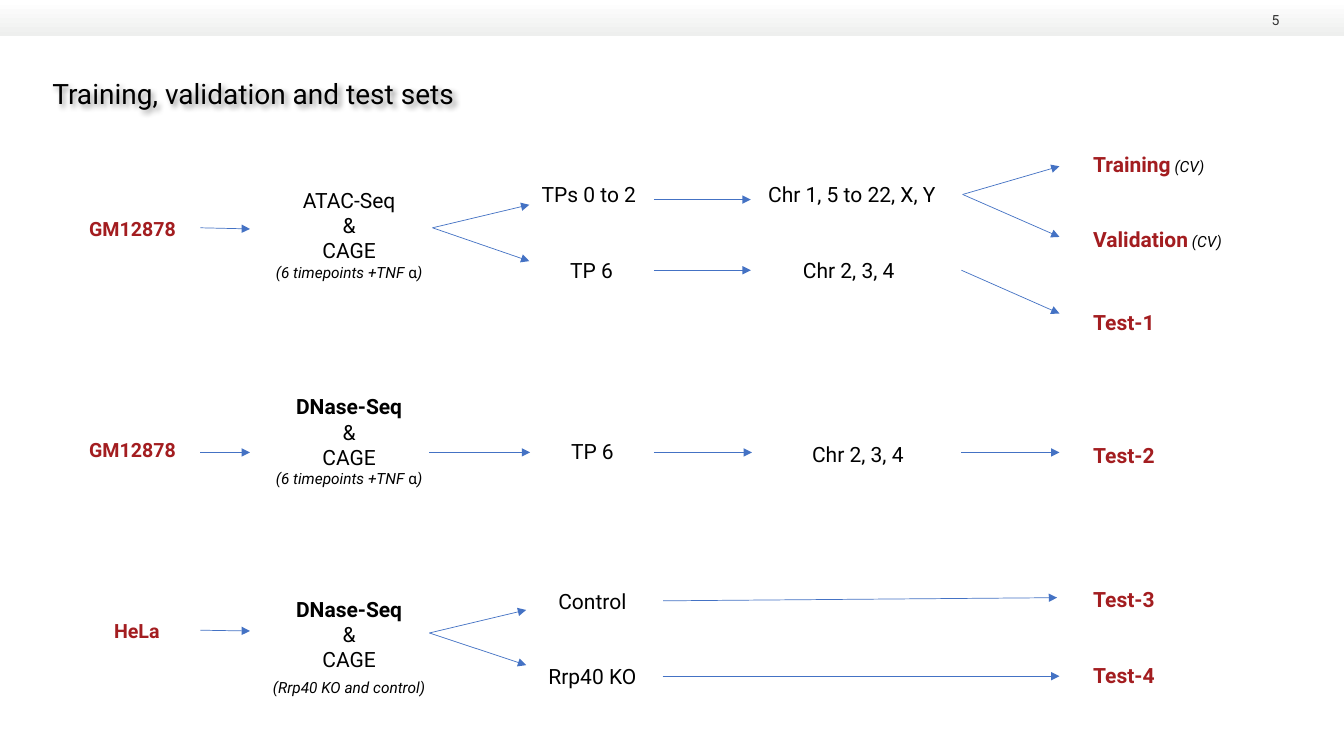
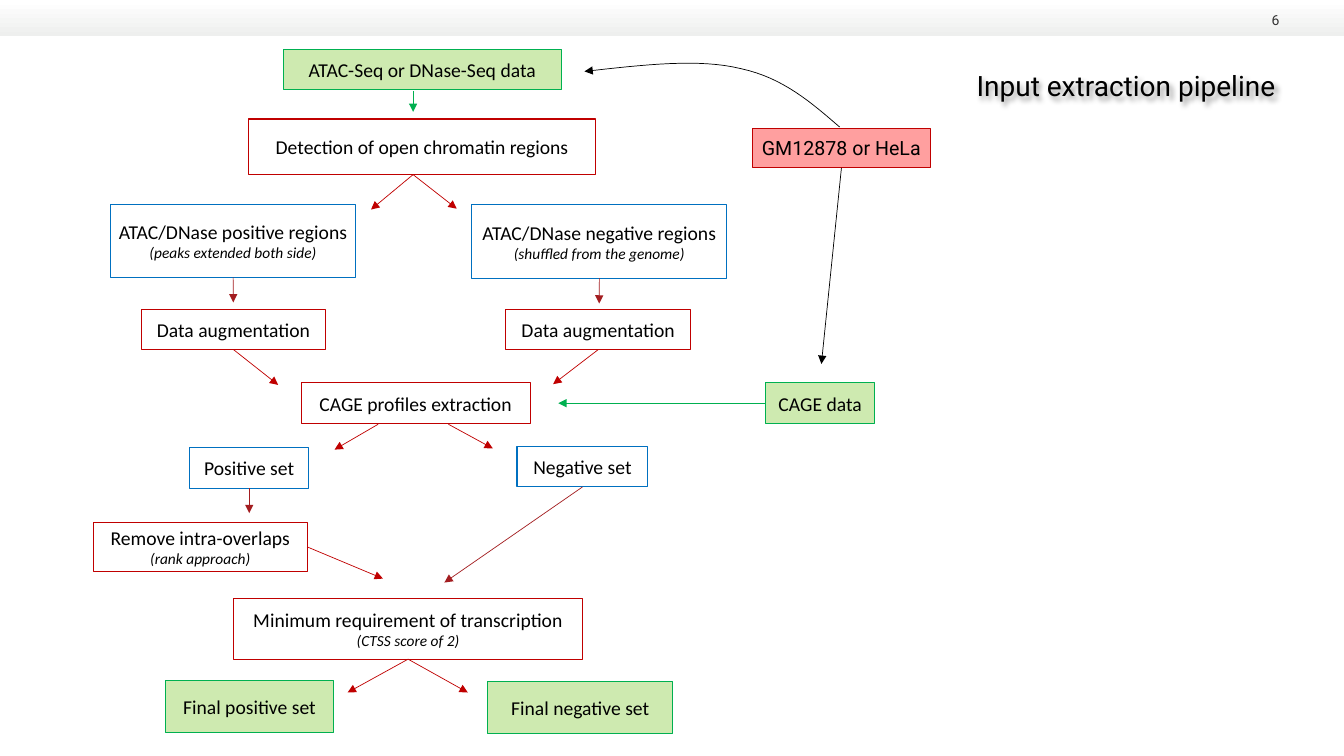
import dataclasses

import lxml.etree
import pptx
import pptx.dml.color
import pptx.enum.shapes
import pptx.enum.text
import pptx.oxml.ns
import pptx.util

Cm = pptx.util.Cm
Align = pptx.enum.text.PP_ALIGN
Anchor = pptx.enum.text.MSO_ANCHOR
RECTANGLE = pptx.enum.shapes.MSO_SHAPE.RECTANGLE
STRAIGHT = pptx.enum.shapes.MSO_CONNECTOR.STRAIGHT
TOP, LEFT, BOTTOM, RIGHT = range(4)


@dataclasses.dataclass(frozen=True)
class Style:
    size: float
    font: str = "Roboto"
    color: str = "000000"
    bold: bool = False
    italic: bool = False


@dataclasses.dataclass(frozen=True)
class Theme:
    width: float = 33.87
    height: float = 19.05
    band_top: str = "FFFFFF"
    band_bottom: str = "EEEFEE"
    black: str = "000000"
    blue_arrow: str = "4472C4"
    blue: str = "0070C0"
    red: str = "C00000"
    dark_red: str = "A31D20"
    green: str = "00B050"
    light_green: str = "CEEAB0"
    pink: str = "FF9F9F"
    box_line: float = 0.75
    arrow_line: float = 0.5
    title: Style = Style(20)
    number: Style = Style(10, color="333333")
    plain: Style = Style(15)
    strong: Style = Style(15, bold=True)
    result: Style = Style(15, color="A31D20", bold=True)
    cell: Style = Style(14, color="A31D20", bold=True)
    cell_box: Style = Style(14)
    note: Style = Style(11, italic=True)
    symbol: Style = Style(11)
    step: Style = Style(14, "Calibri")
    step_note: Style = Style(11, "Calibri", italic=True)


THEME = Theme()


def rgb(color):
    return pptx.dml.color.RGBColor.from_string(color)


def add_xml(parent, tag, **attributes):
    child = lxml.etree.SubElement(parent, pptx.oxml.ns.qn(tag))
    for name, value in attributes.items():
        child.set(name, value)
    return child


def write(box, lines, align=Align.CENTER, anchor=Anchor.MIDDLE, inset=0, gap=0):
    frame = box.text_frame
    frame.word_wrap = True
    frame.vertical_anchor = anchor
    frame.margin_left = frame.margin_right = Cm(inset)
    frame.margin_top = frame.margin_bottom = Cm(inset / 2)
    for index, line in enumerate(lines):
        para = frame.paragraphs[0] if index == 0 else frame.add_paragraph()
        para.alignment = align
        if gap and index == len(lines) - 1:
            para.space_before = pptx.util.Pt(gap)
        for text, style in line:
            span = para.add_run()
            span.text = text
            span.font.size = pptx.util.Pt(style.size)
            span.font.name = style.font
            span.font.bold = style.bold
            span.font.italic = style.italic
            span.font.color.rgb = rgb(style.color)


def add_text(page, left, top, width, height, lines, **layout):
    box = page.shapes.add_textbox(Cm(left), Cm(top), Cm(width), Cm(height))
    write(box, lines, **layout)
    return box


def add_label(page, x, y, lines, width=5, height=0.9, **layout):
    return add_text(page, x - width / 2, y - height / 2, width, height, lines, **layout)


def add_box(page, place, lines, line, fill=None):
    box = page.shapes.add_shape(RECTANGLE, *map(Cm, place))
    box.shadow.inherit = False
    if fill:
        box.fill.solid()
        box.fill.fore_color.rgb = rgb(fill)
    else:
        box.fill.background()
    box.line.color.rgb = rgb(line)
    box.line.width = pptx.util.Pt(THEME.box_line)
    write(box, lines)
    return box


def style_arrow(shape, color):
    shape.line.color.rgb = rgb(color)
    shape.line.width = pptx.util.Pt(THEME.arrow_line)
    add_xml(shape.line._get_or_add_ln(), "a:tailEnd", type="triangle")


def add_arrow(page, start, end, color):
    joined = not isinstance(start[0], (int, float))
    origin = end if joined else start
    arrow = page.shapes.add_connector(STRAIGHT, *map(Cm, origin + end))
    if joined:
        arrow.begin_connect(*start)
    style_arrow(arrow, color)
    add_xml(arrow._element.spPr, "a:effectLst")


def bezier(p0, p1, p2, p3, steps=16):
    for step in range(1, steps + 1):
        t = step / steps
        weights = ((1 - t) ** 3, 3 * t * (1 - t) ** 2, 3 * t * t * (1 - t), t ** 3)
        yield tuple(
            sum(weight * point[axis] for weight, point in zip(weights, (p0, p1, p2, p3)))
            for axis in (0, 1)
        )


def add_curved_arrow(page, points, color):
    route = [points[0]]
    for first in range(0, len(points) - 1, 3):
        route += bezier(*points[first:first + 4])
    route = [(Cm(x), Cm(y)) for x, y in route]
    builder = page.shapes.build_freeform(*route[0])
    builder.add_line_segments(route[1:], close=False)
    curve = builder.convert_to_shape()
    curve.shadow.inherit = False
    curve.fill.background()
    style_arrow(curve, color)


def add_title(page, left, top, width, text):
    box = add_text(page, left, top, width, 1.12, [[(text, THEME.title)]],
                   align=Align.LEFT, inset=0.25)
    effects = add_xml(box._element.spPr, "a:effectLst")
    shadow = add_xml(effects, "a:outerShdw", blurRad="50800", dist="38100",
                     dir="2700000", algn="tl", rotWithShape="0")
    add_xml(add_xml(shadow, "a:srgbClr", val=THEME.black), "a:alpha", val="40000")


def new_page(deck, number):
    page = deck.slides.add_slide(deck.slide_layouts[6])
    band = page.shapes.add_shape(RECTANGLE, 0, 0, Cm(THEME.width), Cm(0.92))
    band.shadow.inherit = False
    band.line.fill.background()
    band.fill.gradient()
    band.fill.gradient_angle = 270
    for stop, color in zip(band.fill.gradient_stops, (THEME.band_top, THEME.band_bottom)):
        stop.color.rgb = rgb(color)
    add_text(page, 31.17, 0.23, 1.07, 0.48, [[(number, THEME.number)]],
             align=Align.RIGHT, anchor=Anchor.BOTTOM)
    return page


def build_sets(deck):
    page = new_page(deck, "5")
    add_title(page, 1.07, 1.78, 11.43, "Training, validation and test sets")

    for x, y, text in ((3.34, 5.75, "GM12878"), (3.34, 11.34, "GM12878"), (3.45, 15.88, "HeLa")):
        add_label(page, x, y, [[(text, THEME.cell)]])

    timepoints = [("(6 timepoints +TNF ", THEME.note), ("α", THEME.symbol), (")", THEME.note)]
    knockout = [("(Rrp40 KO and control)", THEME.note)]
    for y, assay, style, note, gap in (
        (5.91, "ATAC-Seq", THEME.plain, timepoints, 0),
        (11.11, "DNase-Seq", THEME.strong, timepoints, 0),
        (16.29, "DNase-Seq", THEME.strong, knockout, 4),
    ):
        lines = [[(assay, style)], [("&", THEME.plain)], [("CAGE", THEME.plain)], note]
        add_label(page, 8.8, y, lines, height=2.6, gap=gap)

    for x, y, text in (
        (14.84, 4.89, "TPs 0 to 2"), (14.91, 6.8, "TP 6"), (14.93, 11.37, "TP 6"),
        (14.93, 15.15, "Control"), (14.93, 17.04, "Rrp40 KO"),
        (21.47, 4.89, "Chr 1, 5 to 22, X, Y"), (21.39, 6.8, "Chr 2, 3, 4"),
        (21.62, 11.44, "Chr 2, 3, 4"),
    ):
        add_label(page, x, y, [[(text, THEME.plain)]])

    for y, text, note in (
        (4.13, "Training", " (CV)"), (6.02, "Validation", " (CV)"), (8.11, "Test-1", ""),
        (11.47, "Test-2", ""), (15.09, "Test-3", ""), (17.01, "Test-4", ""),
    ):
        line = [(text, THEME.result)] + ([(note, THEME.note)] if note else [])
        add_label(page, 30.05, y, [line], align=Align.LEFT)

    for start, *ends in (
        ((5.05, 5.74), (6.3, 5.77)),
        ((10.9, 5.74), (13.34, 5.16), (13.34, 6.58)),
        ((16.48, 5.03), (18.92, 5.03)),
        ((16.48, 6.81), (18.92, 6.81)),
        ((24.26, 4.9), (26.7, 4.19), (26.7, 5.97)),
        ((24.23, 6.81), (26.7, 7.9)),
        ((5.05, 11.4), (6.3, 11.4)),
        ((10.82, 11.4), (13.36, 11.4)),
        ((16.48, 11.4), (18.95, 11.4)),
        ((24.23, 11.4), (26.7, 11.4)),
        ((5.05, 15.88), (6.3, 15.9)),
        ((10.82, 15.95), (13.26, 15.37), (13.26, 16.76)),
        ((16.71, 15.14), (26.64, 15.06)),
        ((16.7, 17.04), (26.7, 17.04)),
    ):
        for end in ends:
            add_arrow(page, start, end, THEME.blue_arrow)


def build_pipeline(deck):
    page = new_page(deck, "6")
    add_title(page, 24.36, 1.6, 8.97, "Input extraction pipeline")

    def step(place, text, line, fill=None, note="", style=THEME.step):
        lines = [[(text, style)]] + ([[(note, THEME.step_note)]] if note else [])
        return add_box(page, place, lines, line, fill)

    red, dark_red, blue, green = THEME.red, THEME.dark_red, THEME.blue, THEME.green
    step((7.14, 1.24, 7.01, 1.02), "ATAC-Seq or DNase-Seq data", green, THEME.light_green)
    step((6.27, 3, 8.74, 1.4), "Detection of open chromatin regions", red)
    cells = step((18.97, 3.23, 4.47, 1), "GM12878 or HeLa", red, THEME.pink, style=THEME.cell_box)
    cage_data = step((19.3, 9.65, 2.74, 1.02), "CAGE data", green, THEME.light_green)
    positive_regions = step((2.79, 5.16, 6.17, 1.83), "ATAC/DNase positive regions", blue,
                            note="(peaks extended both side)")
    negative_regions = step((11.89, 5.16, 6.43, 1.85), "ATAC/DNase negative regions", blue,
                            note="(shuffled from the genome)")
    positive_augmented, negative_augmented = (
        step((left, 7.79, 4.65, 1.02), "Data augmentation", red) for left in (3.56, 12.75)
    )
    step((7.59, 9.65, 5.77, 1.02), "CAGE profiles extraction", red)
    positive_set = step((4.78, 11.28, 3, 1.02), "Positive set", blue)
    negative_set = step((13.03, 11.25, 3.3, 1.02), "Negative set", blue)
    overlaps = step((2.36, 13.16, 5.38, 1.24), "Remove intra-overlaps", red,
                    note="(rank approach)")
    minimum = step((5.89, 15.09, 8.79, 1.52), "Minimum requirement of transcription", red,
                   note="(CTSS score of 2)")
    step((4.17, 17.15, 4.24, 1.32), "Final positive set", green, THEME.light_green)
    step((12.29, 17.17, 4.67, 1.32), "Final negative set", green, THEME.light_green)

    for start, end, color in (
        ((10.41, 2.29), (10.41, 2.82), green),
        ((10.41, 4.4), (9.35, 5.28), red),
        ((10.41, 4.4), (11.51, 5.26), red),
        ((positive_regions, BOTTOM), (5.88, 7.62), dark_red),
        ((negative_regions, BOTTOM), (15.1, 7.65), dark_red),
        ((positive_augmented, BOTTOM), (7.01, 9.7), red),
        ((negative_augmented, BOTTOM), (13.94, 9.68), red),
        ((cage_data, LEFT), (14.07, 10.16), green),
        ((9.53, 10.69), (8.43, 11.33), red),
        ((11.3, 10.69), (12.42, 11.3), red),
        ((positive_set, BOTTOM), (6.28, 12.93), dark_red),
        ((negative_set, BOTTOM), (11.2, 14.68), dark_red),
        ((overlaps, RIGHT), (9.65, 14.58), red),
        ((minimum, BOTTOM), (8.76, 17.45), red),
        ((minimum, BOTTOM), (11.79, 17.45), red),
        ((cells, BOTTOM), (20.7, 9.17), THEME.black),
    ):
        add_arrow(page, start, end, color)
    add_curved_arrow(page, [(21.16, 3.2), (20.45, 2.59), (19.74, 1.96), (18.67, 1.73),
                            (17.63, 1.47), (16.23, 1.63), (14.73, 1.8)], THEME.black)


def main():
    deck = pptx.Presentation()
    deck.slide_width = Cm(THEME.width)
    deck.slide_height = Cm(THEME.height)
    build_sets(deck)
    build_pipeline(deck)
    deck.save("out.pptx")


if __name__ == "__main__":
    main()
